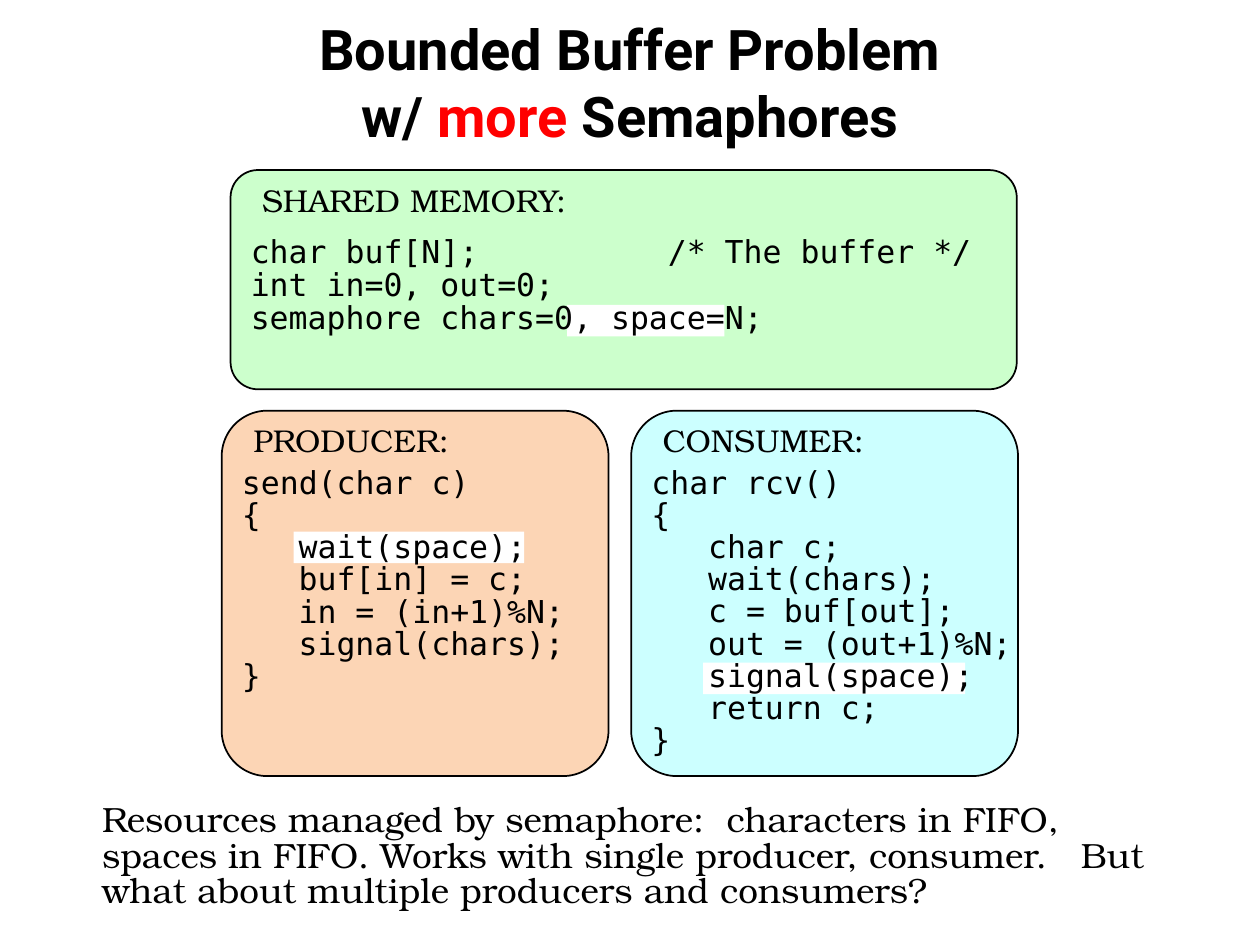
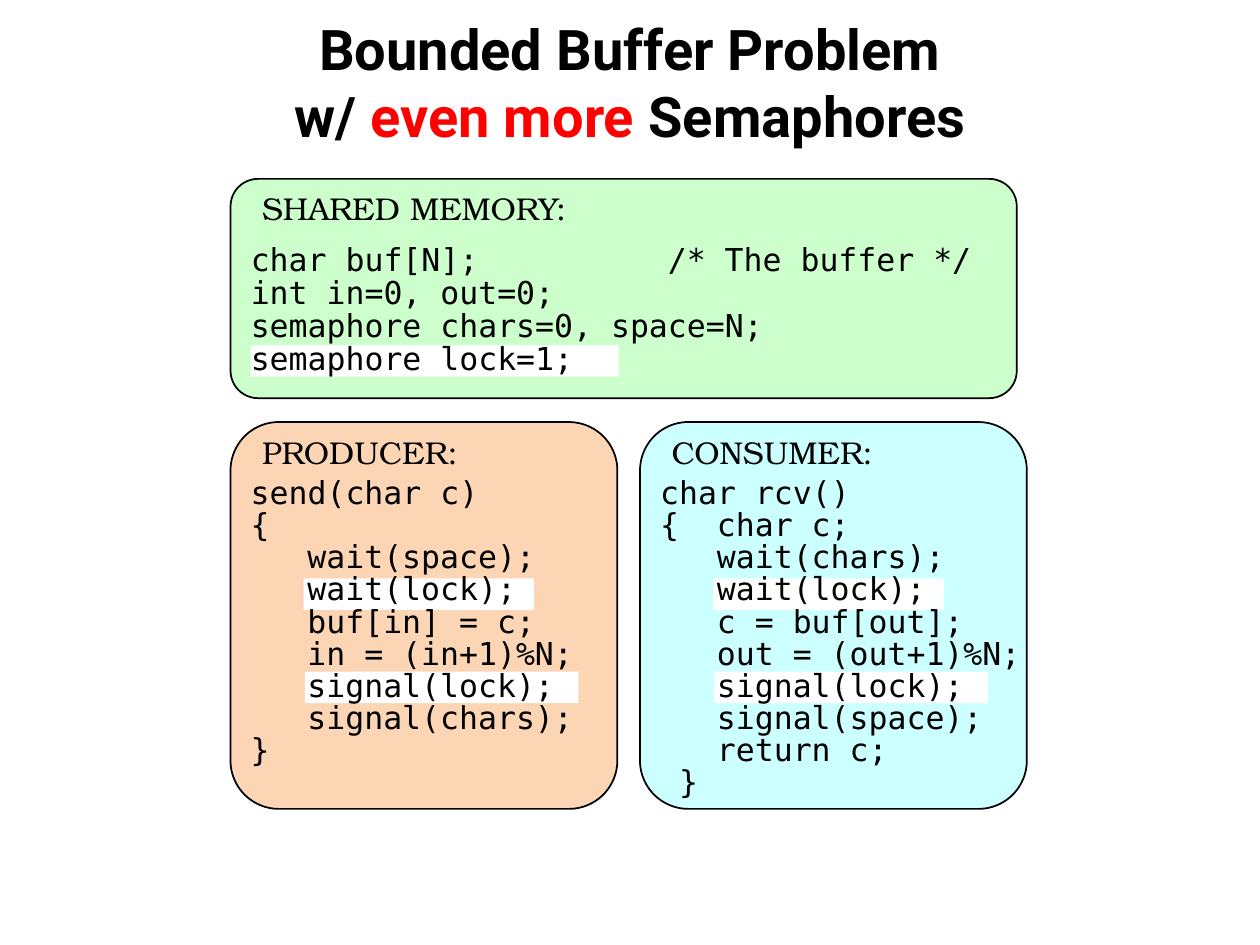
from dataclasses import dataclass

from lxml import etree
from pptx import Presentation
from pptx.dml.color import RGBColor
from pptx.enum import shapes, text
from pptx.oxml.ns import qn
from pptx.util import Inches, Pt

BLACK = RGBColor(0x00, 0x00, 0x00)
WHITE = RGBColor(0xFF, 0xFF, 0xFF)
RED = RGBColor(0xFF, 0x00, 0x00)
GREEN = RGBColor(0xCC, 0xFF, 0xCC)
ORANGE = RGBColor(0xFC, 0xD5, 0xB5)
CYAN = RGBColor(0xCC, 0xFF, 0xFF)

TITLE_FONT, TEXT_FONT, CODE_FONT = "Roboto", "TeX Gyre Bonum", "DejaVu Sans Mono"
TAB_STOPS = (0.45, 3.31)  # code indent, trailing comment
LINE_HEIGHT = 0.26
HIGHLIGHT_HEIGHT = 0.25
TITLE_ONLY, TITLE_AND_BODY = 5, 1


@dataclass
class Panel:
    """A rounded box with a label and code; highlights are (dx, dy, width) from its corner."""
    label: str
    label_width: float
    fill: RGBColor
    box: tuple
    code_top: float
    line_spacing: float
    code: list
    highlights: list


SHARED_CODE = [
    "char buf[N];\t/* The buffer */",
    "int in=0, out=0;",
    "semaphore chars=0, space=N;",
]


def shared_memory(top, line_spacing, code, highlight):
    return Panel("SHARED MEMORY:", 2.61, GREEN, (1.83, top, 6.24, 1.74),
                 0.5, line_spacing, code, [highlight])


def producer(left, top, height, code_top, code, highlights):
    return Panel("PRODUCER:", 1.71, ORANGE, (left, top, 3.07, height),
                 code_top, 0.85, code, highlights)


def consumer(left, top, height, code_top, code, highlights):
    return Panel("CONSUMER:", 1.76, CYAN, (left, top, 3.07, height),
                 code_top, 0.85, code, highlights)


LOCK_HIGHLIGHTS = [(0.58, 1.24, 1.83), (0.59, 1.98, 2.17)]

SLIDES = [
    {
        "title": ("more", " Semaphores"),
        "body": "Resources managed by semaphore:  characters in FIFO, spaces in FIFO. "
                "Works with single producer, consumer.   But what about multiple "
                "producers and consumers?",
        "panels": [
            shared_memory(1.35, 0.88, SHARED_CODE, (2.67, 1.07, 1.25)),
            consumer(5.01, 3.26, 2.9, 0.43, [
                "char rcv()",
                "{",
                "\tchar c;",
                "\twait(chars);",
                "\tc = buf[out];",
                "\tout = (out+1)%N;",
                "\tsignal(space);",
                "\treturn c;",
                "}",
            ], [(0.57, 2.0, 2.08)]),
            producer(1.76, 3.26, 2.9, 0.43, [
                "send(char c)",
                "{",
                "\twait(space);",
                "\tbuf[in] = c;",
                "\tin = (in+1)%N;",
                "\tsignal(chars);",
                "}",
            ], [(0.57, 0.96, 1.83)]),
        ],
    },
    {
        "title": ("even more ", "Semaphores"),
        "body": None,
        "panels": [
            producer(1.83, 3.35, 3.07, 0.42, [
                "send(char c)",
                "{",
                "\twait(space);",
                "\twait(lock);",
                "\tbuf[in] = c;",
                "\tin = (in+1)%N;",
                "\tsignal(lock);",
                "\tsignal(chars);",
                "}",
            ], LOCK_HIGHLIGHTS),
            consumer(5.08, 3.35, 3.07, 0.42, [
                "char rcv()",
                "{\tchar c;",
                "\twait(chars);",
                "\twait(lock);",
                "\tc = buf[out];",
                "\tout = (out+1)%N;",
                "\tsignal(lock);",
                "\tsignal(space);",
                "\treturn c;",
                " }",
            ], LOCK_HIGHLIGHTS),
            shared_memory(1.42, 0.87, SHARED_CODE + ["semaphore lock=1;"],
                          (0.16, 1.32, 2.92)),
        ],
    },
]


def place(shape, left, top, width, height):
    shape.left, shape.top = Inches(left), Inches(top)
    shape.width, shape.height = Inches(width), Inches(height)


def set_font(font, name, size, color=BLACK):
    font.name, font.size, font.color.rgb = name, Pt(size), color


def add_box(slide, preset, box, fill, line=None):
    shape = slide.shapes.add_shape(preset, *map(Inches, box))
    shape.shadow.inherit = False
    shape.fill.solid()
    shape.fill.fore_color.rgb = fill
    if line is None:
        shape.line.fill.background()
    else:
        shape.line.color.rgb = line
        shape.line.width = Pt(1)
    return shape


def add_tab_stops(paragraph):
    tab_list = etree.SubElement(paragraph._p.get_or_add_pPr(), qn("a:tabLst"))
    for stop in TAB_STOPS:
        etree.SubElement(tab_list, qn("a:tab"), pos=str(Inches(stop)), algn="l")


def add_text(slide, box, lines, font_name, line_spacing, wrap):
    frame = slide.shapes.add_textbox(*map(Inches, box)).text_frame
    frame.margin_left = frame.margin_right = Inches(0.07)
    frame.margin_top = frame.margin_bottom = Inches(0.03)
    frame.word_wrap = wrap
    frame.auto_size = text.MSO_AUTO_SIZE.SHAPE_TO_FIT_TEXT
    frame.text = "\n".join(lines)
    for paragraph in frame.paragraphs:
        paragraph.line_spacing = line_spacing
        set_font(paragraph.font, font_name, 18)
        if any("\t" in line for line in lines):
            add_tab_stops(paragraph)


def add_panel(slide, panel):
    left, top, width, height = panel.box
    outline = add_box(slide, shapes.MSO_SHAPE.ROUNDED_RECTANGLE, panel.box, panel.fill, BLACK)
    outline.adjustments[0] = 0.125
    for dx, dy, highlight_width in panel.highlights:
        add_box(slide, shapes.MSO_SHAPE.RECTANGLE,
                (left + dx, top + dy, highlight_width, HIGHLIGHT_HEIGHT), WHITE)
    add_text(slide, (left + 0.18, top + 0.1, panel.label_width, 0.32),
             [panel.label], TEXT_FONT, 0.85, wrap=False)
    code_height = len(panel.code) * LINE_HEIGHT + 0.06
    add_text(slide, (left + 0.09, top + panel.code_top, width + 0.17, code_height),
             panel.code, CODE_FONT, panel.line_spacing, wrap=True)


def fill_title(title, emphasis, ending):
    place(title, 0.5, 0.3, 9, 0.7)
    frame = title.text_frame
    frame.auto_size = text.MSO_AUTO_SIZE.NONE
    frame.vertical_anchor = text.MSO_ANCHOR.MIDDLE
    paragraph = frame.paragraphs[0]
    paragraph.alignment = text.PP_ALIGN.CENTER
    paragraph.add_run().text = "Bounded Buffer Problem"
    paragraph.add_line_break()
    for words in ("w/ ", emphasis, ending):
        paragraph.add_run().text = words
    for run in paragraph.runs:
        set_font(run.font, TITLE_FONT, 32, RED if run.text == emphasis else BLACK)
        run.font.bold = True


def fill_body(body, words):
    place(body, 0.71, 6.33, 8.75, 1)
    frame = body.text_frame
    frame.auto_size = text.MSO_AUTO_SIZE.NONE
    frame.text = words
    paragraph = frame.paragraphs[0]
    paragraph.line_spacing = 0.85
    paragraph.space_before = Pt(0)
    set_font(paragraph.font, TEXT_FONT, 20)
    properties = paragraph._p.get_or_add_pPr()
    properties.set("marL", "0")
    properties.set("indent", "0")
    etree.SubElement(properties, qn("a:buNone"))


def main():
    presentation = Presentation()
    presentation.slide_width, presentation.slide_height = Inches(10), Inches(7.5)
    for content in SLIDES:
        layout = TITLE_AND_BODY if content["body"] else TITLE_ONLY
        slide = presentation.slides.add_slide(presentation.slide_layouts[layout])
        fill_title(slide.shapes.title, *content["title"])
        if content["body"]:
            fill_body(slide.placeholders[1], content["body"])
        for panel in content["panels"]:
            add_panel(slide, panel)
    presentation.save("out.pptx")


if __name__ == "__main__":
    main()
